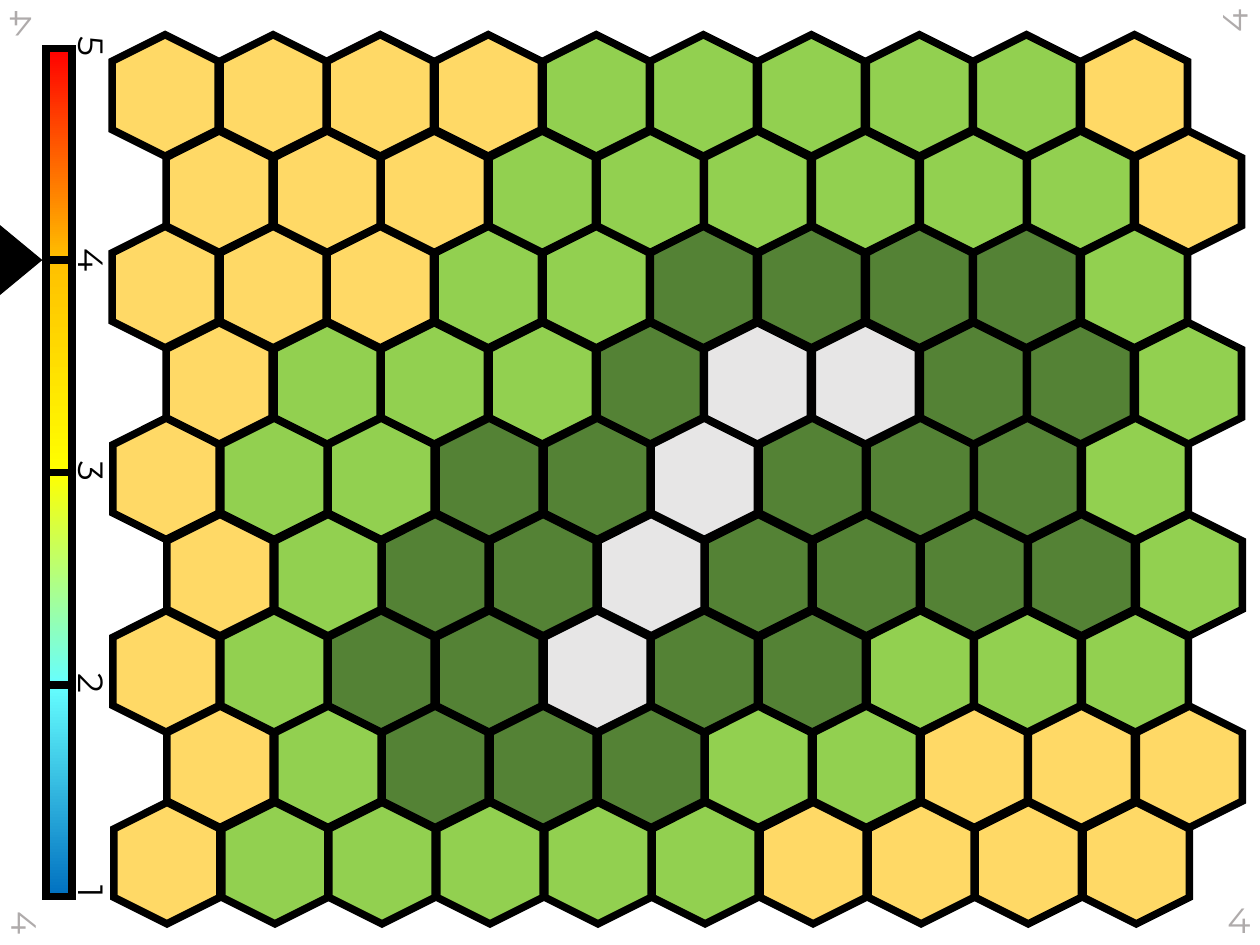
from dataclasses import dataclass, field

from lxml import etree
from pptx import Presentation
from pptx.dml.color import RGBColor
from pptx.enum.shapes import MSO_CONNECTOR, MSO_SHAPE
from pptx.enum.text import MSO_AUTO_SIZE
from pptx.oxml.ns import qn
from pptx.util import Emu, Pt

RECTANGLE = MSO_SHAPE.RECTANGLE
TRIANGLE = MSO_SHAPE.ISOSCELES_TRIANGLE
HEXAGON = MSO_SHAPE.HEXAGON
STRAIGHT = MSO_CONNECTOR.STRAIGHT
FIT_SHAPE = MSO_AUTO_SIZE.SHAPE_TO_FIT_TEXT

EMU_PER_PX = 9144  # 100 px to the inch
SLIDE_SIZE = (1400, 1050)

# One letter per tile: S sand, G grass, F forest, R rock
TERRAIN_ROWS = (
    "SSSSGGGGGS",
    "SSSGGGGGGS",
    "SSSGGFFFFG",
    "SGGGFRRFFG",
    "SGGFFRFFFG",
    "SGFFRFFFFG",
    "SGFFRFFGGG",
    "SGFFFGGSSS",
    "SGGGGGSSSS",
)
TILE_SIZE = (135, 118)
COLUMN_SPAN = 1077  # first to last tile of a row
ROW_SPAN = 853  # first to last row

LEVELS = "54321"
LEVEL_STEP = 236
LABEL_SIZE = (46, 57)
CORNER_LABELS = ((5, 998, 90), (1354, 993, 0), (1348, -6, 270), (0, 0, 180))


@dataclass(frozen=True)
class Theme:
    ink: str = "000000"
    corner: str = "AFABAB"
    font: str = "Montserrat"
    label_size: int = 28
    thick: int = 6
    thin: int = 1
    terrain: dict = field(default_factory=lambda: {
        "S": "FFD966", "G": "92D050", "F": "548235", "R": "E7E6E6"})
    scale_stops: tuple = ("FF0000", "FFC000", "FFFF00", "66FFFF", "0070C0")


def px(length):
    return Emu(length * EMU_PER_PX)


class Board:
    def __init__(self, slide, theme):
        self.shapes = slide.shapes
        self.theme = theme

    def outline(self, line, weight):
        line.color.rgb = RGBColor.from_string(self.theme.ink)
        line.width = Pt(weight)

    def shape(self, kind, at, weight, color=None, rotation=0):
        shape = self.shapes.add_shape(kind, *map(px, at))
        shape.rotation = rotation
        shape.shadow.inherit = False
        if color:
            shape.fill.solid()
            shape.fill.fore_color.rgb = RGBColor.from_string(color)
        self.outline(shape.line, weight)
        border = shape._element.spPr.find(qn("a:ln"))
        etree.SubElement(border, qn("a:miter"), lim="800000")
        return shape

    def color_bar(self, at):
        bar = self.shape(RECTANGLE, at, self.theme.thick)
        bar.fill.gradient()
        bar.fill.gradient_angle = 270
        stops = bar._element.spPr.find(qn("a:gradFill")).find(qn("a:gsLst"))
        for stop in list(stops):
            stops.remove(stop)
        step = 100000 // (len(self.theme.scale_stops) - 1)
        for index, color in enumerate(self.theme.scale_stops):
            stop = etree.SubElement(stops, qn("a:gs"), pos=str(index * step))
            etree.SubElement(stop, qn("a:srgbClr"), val=color)

    def tick(self, left, right, y):
        tick = self.shapes.add_connector(STRAIGHT, px(left), px(y), px(right), px(y))
        self.outline(tick.line, self.theme.thick)
        etree.SubElement(tick._element.spPr, qn("a:effectLst"))

    def label(self, text, left, top, rotation, color):
        box = self.shapes.add_textbox(px(left), px(top), *map(px, LABEL_SIZE))
        box.rotation = rotation
        frame = box.text_frame
        for name, value in {"word_wrap": False, "auto_size": FIT_SHAPE}.items():
            setattr(frame, name, value)
        span = frame.paragraphs[0].add_run()
        span.text = text
        font_format = {"name": self.theme.font, "size": Pt(self.theme.label_size)}
        for name, value in font_format.items():
            setattr(span.font, name, value)
        span.font.color.rgb = RGBColor.from_string(color)

    def tile(self, row, column, terrain):
        row_left = 116 + row // 4 + 60 * (row % 2)
        left = row_left + round(column * COLUMN_SPAN / 9)
        top = 47 + round(row * ROW_SPAN / 8)
        self.shape(HEXAGON, (left, top, *TILE_SIZE), self.theme.thick,
                   self.theme.terrain[terrain], rotation=270)


def main():
    deck = Presentation()
    deck.slide_width, deck.slide_height = map(px, SLIDE_SIZE)
    page = deck.slides.add_slide(deck.slide_layouts[6])
    theme = Theme()
    board = Board(page, theme)

    board.color_bar((51, 54, 29, 942))
    for index in range(3):
        board.tick(51, 79, 289 + index * LEVEL_STEP)
    board.shape(TRIANGLE, (-15, 266, 76, 46), theme.thin, theme.ink, rotation=90)
    for index, level in enumerate(LEVELS):
        board.label(level, 79, 25 + index * LEVEL_STEP, 90, theme.ink)
    for left, top, rotation in CORNER_LABELS:
        board.label("4", left, top, rotation, theme.corner)

    for row, terrains in enumerate(TERRAIN_ROWS):
        for column, terrain in enumerate(terrains):
            board.tile(row, column, terrain)

    deck.save("out.pptx")


if __name__ == "__main__":
    main()
